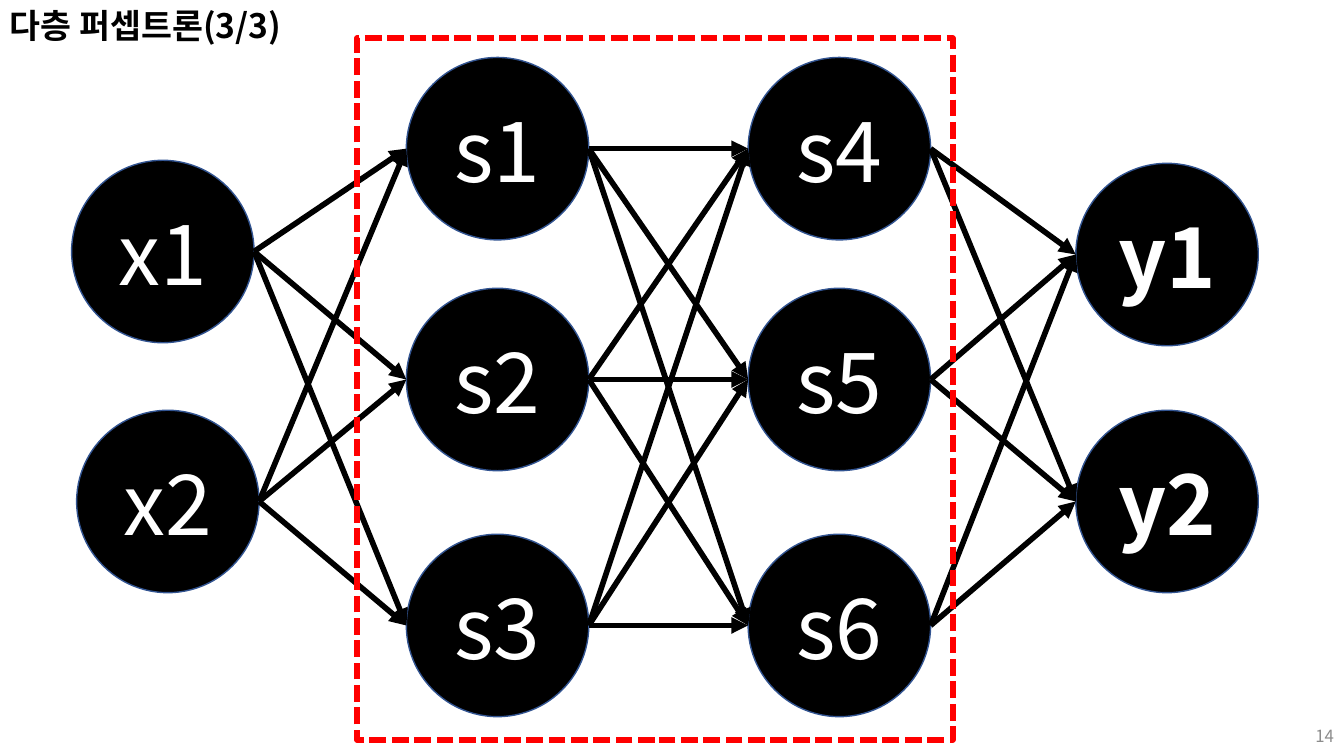
from itertools import product

from lxml.etree import SubElement
from pptx import Presentation
from pptx.dml.color import RGBColor
from pptx.enum.dml import MSO_LINE
from pptx.enum.shapes import MSO_CONNECTOR, MSO_SHAPE
from pptx.enum.text import MSO_ANCHOR, MSO_AUTO_SIZE, PP_ALIGN
from pptx.oxml.ns import qn
from pptx.util import Inches, Pt

FONT = "Noto Sans CJK KR"
SIZE = 1.81  # node diameter

# Each layer lists its nodes as (label, left, top)
LAYERS = [
    [("x1", 0.71, 1.59), ("x2", 0.76, 4.07)],
    [("s1", 4.03, 0.57), ("s2", 4.03, 2.86), ("s3", 4.03, 5.3)],
    [("s4", 7.42, 0.57), ("s5", 7.42, 2.86), ("s6", 7.42, 5.3)],
    [("y1", 10.67, 1.62), ("y2", 10.67, 4.07)],
]


def color(code):
    return RGBColor.from_string(code)


def style(item, **values):
    for name, value in values.items():
        setattr(item, name, value)


def stroke(line, code, width):
    line.color.rgb = color(code)
    line.width = Pt(width)


def write(shape, text, size, code, bold=False, align=PP_ALIGN.LEFT, **frame):
    style(shape.text_frame, **frame)
    para = shape.text_frame.paragraphs[0]
    para.alignment = align
    run = para.add_run()
    run.text = text
    style(run.font, name=FONT, size=Pt(size), bold=bold)
    run.font.color.rgb = color(code)
    # Hangul takes its font from the East Asian slot
    SubElement(run.font._element, qn("a:ea")).set("typeface", FONT)


def add_text(slide, box, text, size, code, **format):
    shape = slide.shapes.add_textbox(*map(Inches, box))
    write(shape, text, size, code, **format)


def add_node(slide, label, left, top, bold):
    box = map(Inches, (left, top, SIZE, SIZE))
    node = slide.shapes.add_shape(MSO_SHAPE.OVAL, *box)
    node.shadow.inherit = False
    node.fill.solid()
    node.fill.fore_color.rgb = color("000000")
    stroke(node.line, "325491", 1)
    write(node, label, 60, "FFFFFF", bold, PP_ALIGN.CENTER,
          vertical_anchor=MSO_ANCHOR.MIDDLE)


def add_arrow(slide, source, target):
    # Runs from the right edge of one node to the left edge of the next
    ends = (source[1] + SIZE, source[2] + SIZE / 2,
            target[1], target[2] + SIZE / 2)
    arrow = slide.shapes.add_connector(MSO_CONNECTOR.STRAIGHT,
                                       *map(Inches, ends))
    stroke(arrow.line, "000000", 4)
    SubElement(arrow.line._get_or_add_ln(), qn("a:tailEnd")).set(
        "type", "triangle")
    SubElement(arrow._element.spPr, qn("a:effectLst"))


def add_frame(slide, box):
    frame = slide.shapes.add_shape(MSO_SHAPE.RECTANGLE, *map(Inches, box))
    frame.shadow.inherit = False
    frame.fill.background()
    stroke(frame.line, "FF0000", 4)
    frame.line.dash_style = MSO_LINE.SQUARE_DOT


def main():
    deck = Presentation()
    style(deck, slide_width=Inches(13.33), slide_height=Inches(7.5))
    slide = deck.slides.add_slide(deck.slide_layouts[6])

    # Nodes, with the output layer in bold
    for layer in LAYERS:
        for node in layer:
            add_node(slide, *node, bold=layer is LAYERS[-1])

    # Every node feeds every node of the next layer
    for left, right in zip(LAYERS, LAYERS[1:]):
        for source, target in product(left, right):
            add_arrow(slide, source, target)

    # Title and page number
    add_text(slide, (0, 0, 3.24, 0.5), "다층 퍼셉트론(3/3)", 24, "000000",
             bold=True, word_wrap=False,
             auto_size=MSO_AUTO_SIZE.SHAPE_TO_FIT_TEXT)
    add_text(slide, (10.33, 7.1, 3, 0.4), "14", 12, "8C8C8C",
             align=PP_ALIGN.RIGHT, word_wrap=True,
             vertical_anchor=MSO_ANCHOR.MIDDLE)

    # Dashed frame around the hidden layers
    add_frame(slide, (3.54, 0.38, 5.91, 6.96))
    deck.save("out.pptx")


if __name__ == "__main__":
    main()
